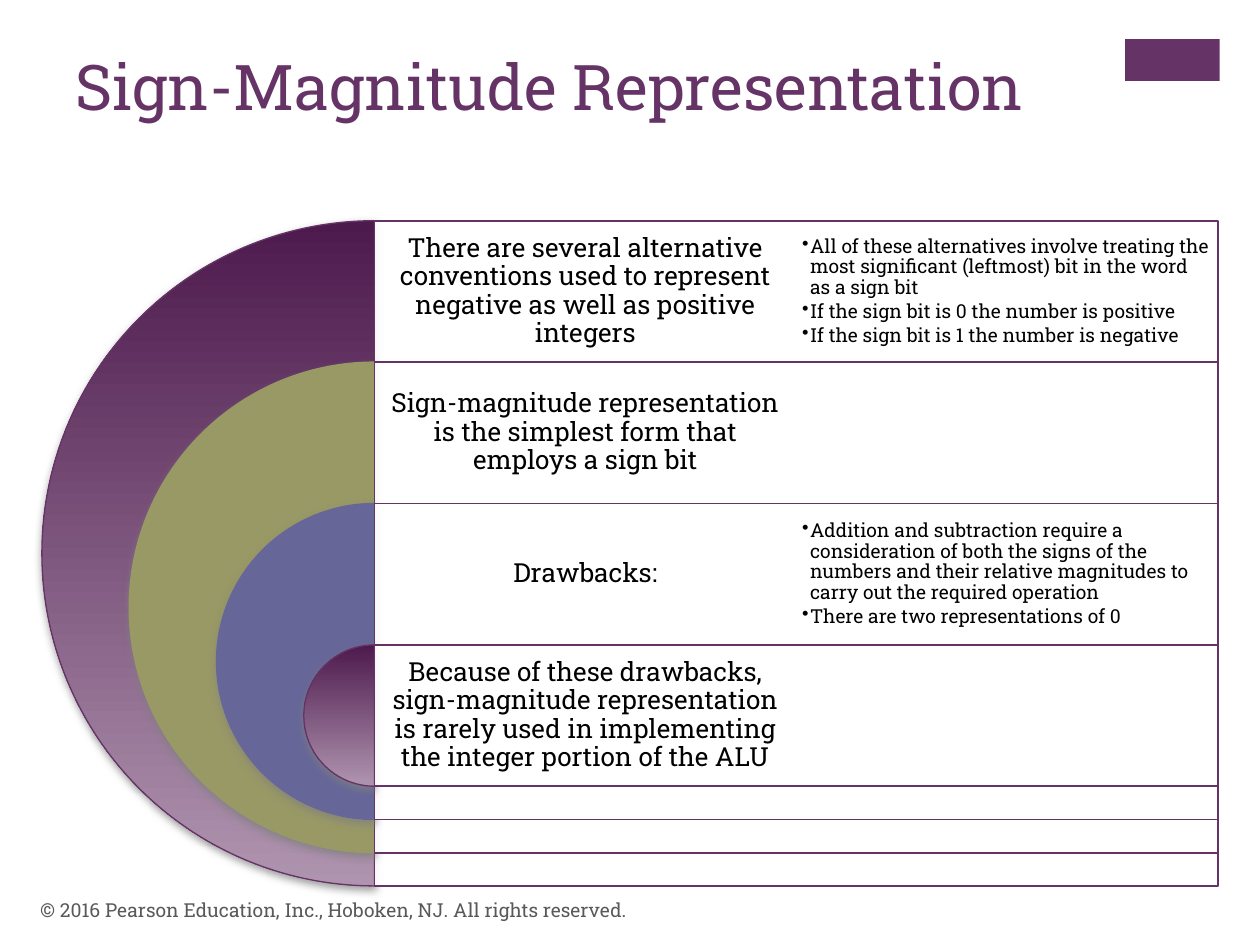
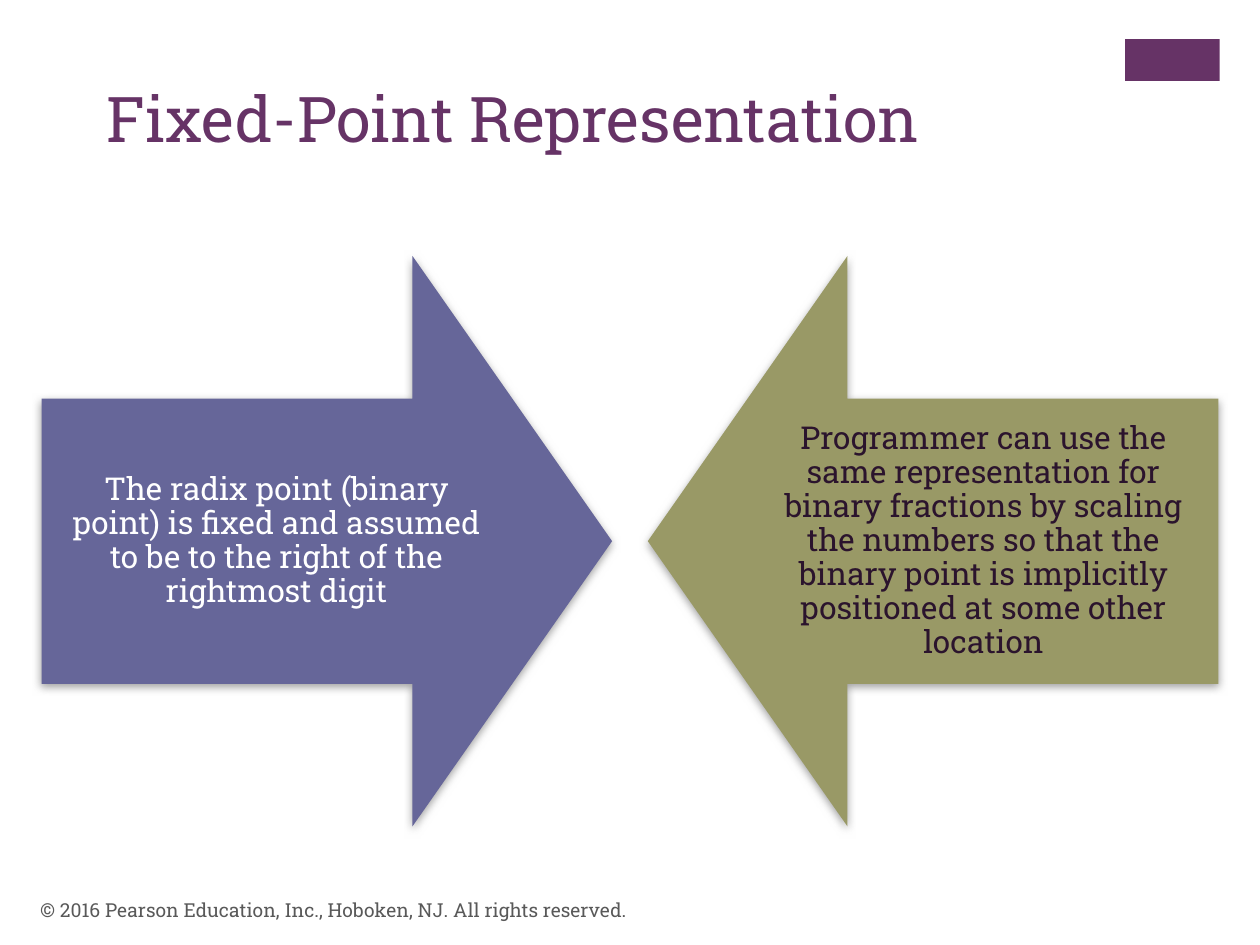
from typing import NamedTuple

from lxml import etree
from pptx import Presentation
from pptx.dml.color import RGBColor
from pptx.enum.shapes import MSO_SHAPE
from pptx.enum.text import MSO_ANCHOR, PP_ALIGN
from pptx.oxml.ns import qn
from pptx.util import Cm, Pt

RECT = MSO_SHAPE.RECTANGLE
PIE = MSO_SHAPE.PIE
RIGHT = MSO_SHAPE.RIGHT_ARROW
LEFT = MSO_SHAPE.LEFT_ARROW
TOP = MSO_ANCHOR.TOP
MIDDLE = MSO_ANCHOR.MIDDLE
START = PP_ALIGN.LEFT
CENTER = PP_ALIGN.CENTER

FONT = "Roboto Slab"
PLUM = "663366"
OLIVE = "999966"
SLATE = "666699"
WHITE = "FFFFFF"
BLACK = "000000"
GRAY = "595959"
SHADE = "808080"
FADE = ("4D1A4D", "AF94AF")

WIDE, HIGH = 25.4, 19.05
EDGE = 0.84
FOOTER = "© 2016 Pearson Education, Inc., Hoboken, NJ. All rights reserved."


class Box(NamedTuple):
    left: float
    top: float
    width: float
    height: float


class Layer(NamedTuple):
    head: str
    fill: str | tuple[str, str]
    line: str
    points: tuple[str, ...] = ()


class Arrow(NamedTuple):
    kind: MSO_SHAPE
    left: float
    inset: float
    fill: str
    ink: str
    text: str


LAYERS = (
    Layer(
        "There are several alternative conventions used to represent negative as well as positive integers",
        FADE,
        PLUM,
        (
            "All of these alternatives involve treating the most significant (leftmost) bit in the word as a sign bit",
            "If the sign bit is 0 the number is positive",
            "If the sign bit is 1 the number is negative",
        ),
    ),
    Layer("Sign-magnitude representation is the simplest form that employs a sign bit", OLIVE, OLIVE),
    Layer(
        "Drawbacks:",
        SLATE,
        SLATE,
        (
            "Addition and subtraction require a consideration of both the signs of the numbers "
            "and their relative magnitudes to carry out the required operation",
            "There are two representations of 0",
        ),
    ),
    Layer(
        "Because of these drawbacks, sign-magnitude representation is rarely used "
        "in implementing the integer portion of the ALU",
        FADE,
        PLUM,
    ),
)

SPAN = 11.5
BODY = 9.47
ARROWS = (
    Arrow(
        RIGHT, EDGE, 0, SLATE, WHITE,
        "The radix point (binary point) is fixed and assumed to be to the right of the rightmost digit",
    ),
    Arrow(
        LEFT, WIDE - EDGE - SPAN, SPAN - BODY, OLIVE, "2B142D",
        "Programmer can use the same representation for binary fractions by scaling the numbers "
        "so that the binary point is implicitly positioned at some other location",
    ),
)


def hue(code: str) -> RGBColor:
    return RGBColor.from_string(code)


def place(box: Box) -> tuple[Cm, ...]:
    return tuple(Cm(side) for side in box)


def add_text(slide, box: Box, *lines: str, size: float, ink: str, anchor=MIDDLE, align=START,
             inset: float | None = None, pitch: float = 1.0, after: float = 0,
             bullet: bool = False) -> None:
    frame = slide.shapes.add_textbox(*place(box)).text_frame
    frame.word_wrap = True
    frame.vertical_anchor = anchor
    if inset is not None:
        frame.margin_left = frame.margin_right = Cm(inset)
        frame.margin_top = frame.margin_bottom = Cm(inset)
    for row, line in enumerate(lines):
        para = frame.add_paragraph() if row else frame.paragraphs[0]
        para.text = line
        para.alignment = align
        para.line_spacing = pitch
        para.space_after = Pt(after)
        if bullet:
            props = para._p.get_or_add_pPr()
            props.set("marL", str(Cm(0.16)))
            props.set("indent", str(-Cm(0.16)))
            etree.SubElement(props, qn("a:buChar"), char="•")
        para.font.name = FONT
        para.font.size = Pt(size)
        para.font.color.rgb = hue(ink)


def add_shade(shape) -> None:
    effects = shape._element.spPr.find(qn("a:effectLst"))
    outer = etree.SubElement(
        effects, qn("a:outerShdw"), blurRad=str(Pt(5)), dist=str(Pt(2)), dir="5400000", rotWithShape="0"
    )
    tint = etree.SubElement(outer, qn("a:srgbClr"), val=SHADE)
    etree.SubElement(tint, qn("a:alpha"), val="75000")


def add_form(slide, kind, box: Box, fill: str | tuple[str, str], line: str | None = None,
             weight: float = 1, bends: tuple[float, ...] = (), alpha: int = 100,
             shade: bool = False) -> None:
    shape = slide.shapes.add_shape(kind, *place(box))
    for spot, bend in enumerate(bends):
        shape.adjustments[spot] = bend
    if isinstance(fill, tuple):
        shape.fill.gradient()
        shape.fill.gradient_angle = 270
        for stop, code in zip(shape.fill.gradient_stops, fill):
            stop.color.rgb = hue(code)
    else:
        shape.fill.solid()
        shape.fill.fore_color.rgb = hue(fill)
    if alpha < 100:
        tint = shape._element.spPr.find(qn("a:solidFill"))[0]
        etree.SubElement(tint, qn("a:alpha"), val=str(alpha * 1000))
    if line:
        shape.line.color.rgb = hue(line)
        shape.line.width = Pt(weight)
    else:
        shape.line.fill.background()
    shape.shadow.inherit = False
    if shade:
        add_shade(shape)


def add_page(deck, title: str, left: float, top: float):
    slide = deck.slides.add_slide(deck.slide_layouts[6])
    add_form(slide, RECT, Box(22.68, 0.79, 1.91, 0.84), PLUM)
    add_text(slide, Box(left, top, 20.98, 3.1), title, size=36, ink=PLUM, anchor=TOP)
    add_text(slide, Box(0.56, 17.83, 17.02, 1.02), FOOTER, size=11, ink=GRAY)
    return slide


def draw_layers(slide) -> None:
    axis, start, band, width = 7.55, 4.45, 2.85, 17
    outer, shrink = 13.41, 3.52
    half = width / 2
    for step, layer in enumerate(LAYERS):
        top = start + step * band
        size = outer - step * shrink
        add_form(slide, PIE, Box(axis - size / 2, top, size, size), layer.fill, layer.line,
                 weight=0.75, bends=(54, 162), shade=True)
        add_form(slide, RECT, Box(axis, top, width, size), WHITE, PLUM, alpha=90)
        add_text(slide, Box(axis, top, half, band), layer.head, size=15, ink=BLACK,
                 align=CENTER, inset=0.15, pitch=0.9)
        if layer.points:
            add_text(slide, Box(axis + half, top, half, band), *layer.points, size=11, ink=BLACK,
                     inset=0.12, pitch=0.9, after=1.7, bullet=True)


def draw_arrows(slide) -> None:
    top = 5.16
    for arrow in ARROWS:
        add_form(slide, arrow.kind, Box(arrow.left, top, SPAN, SPAN), arrow.fill,
                 bends=(0.5, 0.35), shade=True)
        add_text(slide, Box(arrow.left + arrow.inset, top + SPAN / 4, BODY, SPAN / 2), arrow.text,
                 size=18, ink=arrow.ink, align=CENTER, inset=0.36, pitch=0.9)


def main() -> None:
    deck = Presentation()
    deck.slide_width, deck.slide_height = Cm(WIDE), Cm(HIGH)
    draw_layers(add_page(deck, "Sign-Magnitude Representation", 1.27, 0.84))
    draw_arrows(add_page(deck, "Fixed-Point Representation", 1.9, 1.47))
    deck.save("out.pptx")


if __name__ == "__main__":
    main()
